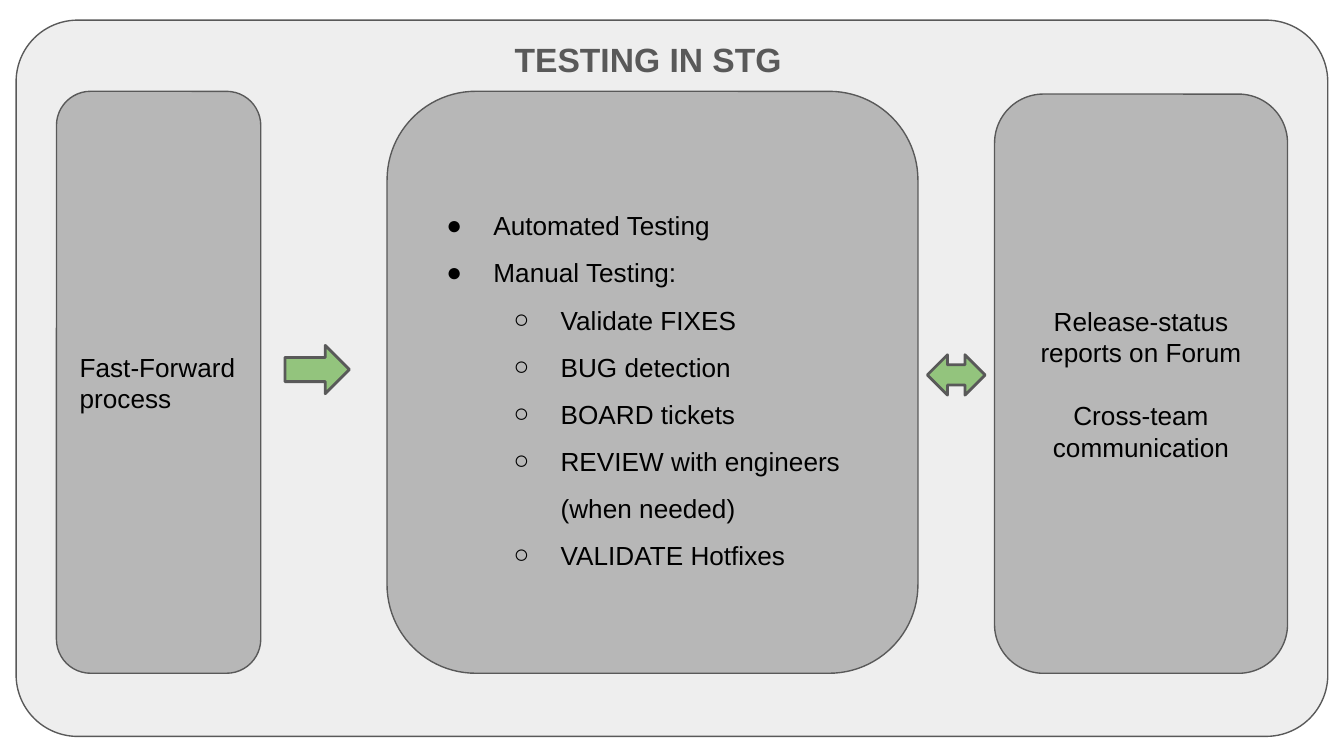
from lxml import etree
from pptx import Presentation
from pptx.dml.color import RGBColor
from pptx.enum.shapes import MSO_SHAPE as Shape
from pptx.enum.text import MSO_ANCHOR as Anchor, MSO_AUTO_SIZE as AutoSize, PP_ALIGN as Align
from pptx.oxml.ns import qn
from pptx.util import Inches, Pt

FONT = "Arial"
BLACK, OUTLINE = "000000", "595959"
PANEL, BOX, ARROW = "EEEEEE", "B7B7B7", "93C47D"
BULLETS = ["●", "○"]

# Nesting level and lines of each item
TESTING_STEPS = [
    (0, ["Automated Testing"]),
    (0, ["Manual Testing:"]),
    (1, ["Validate FIXES"]),
    (1, ["BUG detection"]),
    (1, ["BOARD tickets"]),
    (1, ["REVIEW with engineers", "(when needed)"]),
    (1, ["VALIDATE Hotfixes"]),
]


def rgb(color):
    return RGBColor.from_string(color)


def place(sp, left, top, width, height):
    sp.left, sp.top = Inches(left), Inches(top)
    sp.width, sp.height = Inches(width), Inches(height)


def add_run(p, text, size=14, color=BLACK, bold=False):
    r = p.add_run()
    r.text = text
    r.font.name, r.font.size, r.font.bold = FONT, Pt(size), bold
    r.font.color.rgb = rgb(color)


def set_frame(tf, anchor):
    tf.word_wrap = True
    tf.auto_size = AutoSize.NONE
    tf.vertical_anchor = anchor
    tf.margin_left = tf.margin_right = Inches(0.1)
    tf.margin_top = tf.margin_bottom = Inches(0.1)


def add_shape(slide, kind, box, fill, line_width=0.75, adjustments=()):
    sp = slide.shapes.add_shape(kind, *map(Inches, box))
    sp.shadow.inherit = False
    sp.fill.solid()
    sp.fill.fore_color.rgb = rgb(fill)
    sp.line.color.rgb = rgb(OUTLINE)
    sp.line.width = Pt(line_width)
    for i, value in enumerate(adjustments):
        sp.adjustments[i] = value
    return sp


def add_box(slide, box):
    sp = add_shape(slide, Shape.ROUNDED_RECTANGLE, box, BOX, adjustments=[0.167])
    set_frame(sp.text_frame, Anchor.MIDDLE)
    return sp.text_frame


def add_arrow(slide, kind, box):
    add_shape(slide, kind, box, ARROW, 1.5, [0.5, 0.5])


def next_paragraph(tf, first):
    return tf.paragraphs[0] if first else tf.add_paragraph()


def add_paragraphs(tf, texts, align, gap=0):
    for i, text in enumerate(texts):
        p = next_paragraph(tf, i == 0)
        p.alignment = align
        p.space_before = Pt(gap if i else 0)
        add_run(p, text)


def set_bullet(p, level):
    pPr = p._p.get_or_add_pPr()
    pPr.set("marL", str(Inches(0.5 * (level + 1))))
    pPr.set("indent", str(Inches(-0.35)))
    color = etree.SubElement(pPr, qn("a:buClr"))
    etree.SubElement(color, qn("a:srgbClr"), val=BLACK)
    etree.SubElement(pPr, qn("a:buFont"), typeface=FONT)
    etree.SubElement(pPr, qn("a:buChar"), char=BULLETS[level])


def add_bullets(tf, items):
    for i, (level, lines) in enumerate(items):
        p = next_paragraph(tf, i == 0)
        p.level = level
        p.alignment = Align.LEFT
        p.line_spacing = 1.5
        set_bullet(p, level)
        for j, line in enumerate(lines):
            if j:
                p.add_line_break()
            add_run(p, line)


def set_title(slide, text, box):
    title = slide.shapes.title
    place(title, *box)
    set_frame(title.text_frame, Anchor.TOP)
    p = title.text_frame.paragraphs[0]
    p.alignment = Align.LEFT
    add_run(p, text, 18, OUTLINE, True)
    return title


def main():
    prs = Presentation()
    # Widescreen, 16:9
    prs.slide_width = Inches(10)
    prs.slide_height = prs.slide_width * 9 // 16
    slide = prs.slides.add_slide(prs.slide_layouts[5])

    # Background panel, with the title in front of it
    panel = add_shape(slide, Shape.ROUNDED_RECTANGLE, (0.12, 0.15, 9.76, 5.33),
                      PANEL, adjustments=[0.086])
    title = set_title(slide, "TESTING IN STG", (3.73, 0.19, 2.26, 0.48))
    panel.element.addnext(title.element)

    # Stages: testing, input and reporting
    add_bullets(add_box(slide, (2.88, 0.68, 3.95, 4.33)), TESTING_STEPS)
    add_paragraphs(add_box(slide, (0.42, 0.68, 1.52, 4.33)),
                   ["Fast-Forward process"], Align.LEFT)
    add_paragraphs(add_box(slide, (7.4, 0.7, 2.18, 4.31)),
                   ["Release-status reports on Forum", "Cross-team communication"],
                   Align.CENTER, gap=17)

    # Arrows between the stages
    add_arrow(slide, Shape.RIGHT_ARROW, (2.12, 2.57, 0.48, 0.36))
    add_arrow(slide, Shape.LEFT_RIGHT_ARROW, (6.9, 2.64, 0.43, 0.3))

    prs.save("out.pptx")


if __name__ == "__main__":
    main()
